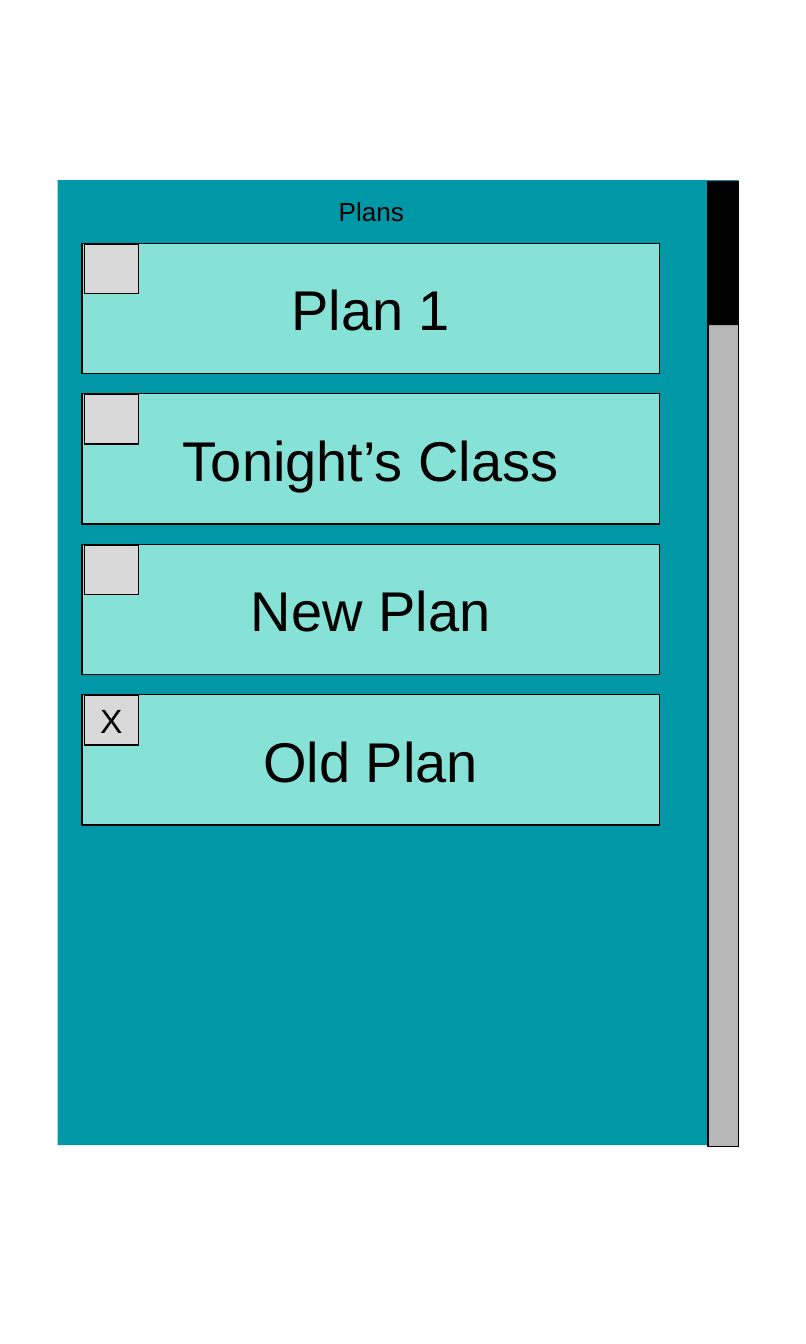
"""Build the plan picker screen: a scrolling list of plans with checkboxes."""
from dataclasses import dataclass

from pptx import Presentation
from pptx.dml.color import RGBColor as RGB
from pptx.enum.shapes import MSO_SHAPE as SHAPE
from pptx.enum.text import MSO_ANCHOR as ANCHOR, MSO_AUTO_SIZE as AUTO, PP_ALIGN as ALIGN
from pptx.util import Inches, Pt


@dataclass(frozen=True)
class Theme:
    font: str = "Arial"
    ink: str = "000000"
    panel: str = "0097A7"
    card: str = "86E1D6"
    checkbox: str = "D9D9D9"
    track: str = "B7B7B7"
    line: float = 0.75
    title_size: int = 14
    card_size: int = 30
    mark_size: int = 18


THEME = Theme()
PANEL = (0.43, 1.34, 5.07, 7.18)
TRACK = (5.27, 1.35, 0.23, 7.18)
THUMB_HEIGHT = 1.07
TITLE = (1.6, 1.35, 2.33, 0.37)
CARD_LEFT, CARD_TOP, CARD_WIDTH, CARD_HEIGHT = 0.61, 1.81, 4.3, 0.97
ROW_PITCH = 1.12
CHECKBOX_INSET = (0.02, 0.005)
CHECKBOX_SIZE = (0.4, 0.37)
PLANS = [("Plan 1", ""), ("Tonight’s Class", ""), ("New Plan", ""), ("Old Plan", "X")]


def write(s, text, *, size, anchor=ANCHOR.MIDDLE):
    tf = s.text_frame
    tf.word_wrap = True
    tf.auto_size = AUTO.NONE
    tf.vertical_anchor = anchor
    tf.margin_left = tf.margin_right = tf.margin_top = tf.margin_bottom = Inches(0.1)
    p = tf.paragraphs[0]
    p.alignment = ALIGN.CENTER
    r = p.add_run()
    r.text = text
    r.font.name = THEME.font
    r.font.size = Pt(size)
    r.font.color.rgb = RGB.from_string(THEME.ink)


def add_box(slide, box, fill, *, outlined=True, text="", size=THEME.card_size):
    s = slide.shapes.add_shape(SHAPE.RECTANGLE, *map(Inches, box))
    s.shadow.inherit = False
    s.fill.solid()
    s.fill.fore_color.rgb = RGB.from_string(fill)
    if outlined:
        s.line.color.rgb = RGB.from_string(THEME.ink)
        s.line.width = Pt(THEME.line)
    else:
        s.line.fill.background()
    if text:
        write(s, text, size=size)


def add_scrollbar(slide):
    left, top, width, _ = TRACK
    add_box(slide, TRACK, THEME.track)
    add_box(slide, (left, top, width, THUMB_HEIGHT), THEME.ink, outlined=False)


def add_plan(slide, row, name, mark):
    top = CARD_TOP + row * ROW_PITCH
    dx, dy = CHECKBOX_INSET
    add_box(slide, (CARD_LEFT, top, CARD_WIDTH, CARD_HEIGHT), THEME.card, text=name)
    add_box(slide, (CARD_LEFT + dx, top + dy, *CHECKBOX_SIZE), THEME.checkbox,
            text=mark, size=THEME.mark_size)


def place_title(slide, text):
    s = slide.shapes.title
    s.left, s.top, s.width, s.height = map(Inches, TITLE)
    write(s, text, size=THEME.title_size, anchor=ANCHOR.TOP)
    s.element.getparent().append(s.element)


def main():
    prs = Presentation()
    prs.slide_width, prs.slide_height = Inches(6), Inches(10)
    slide = prs.slides.add_slide(prs.slide_layouts.get_by_name("Title Only"))
    add_box(slide, PANEL, THEME.panel, outlined=False)
    for row, (name, mark) in enumerate(PLANS):
        add_plan(slide, row, name, mark)
    add_scrollbar(slide)
    place_title(slide, "Plans")
    prs.save("out.pptx")


if __name__ == "__main__":
    main()
